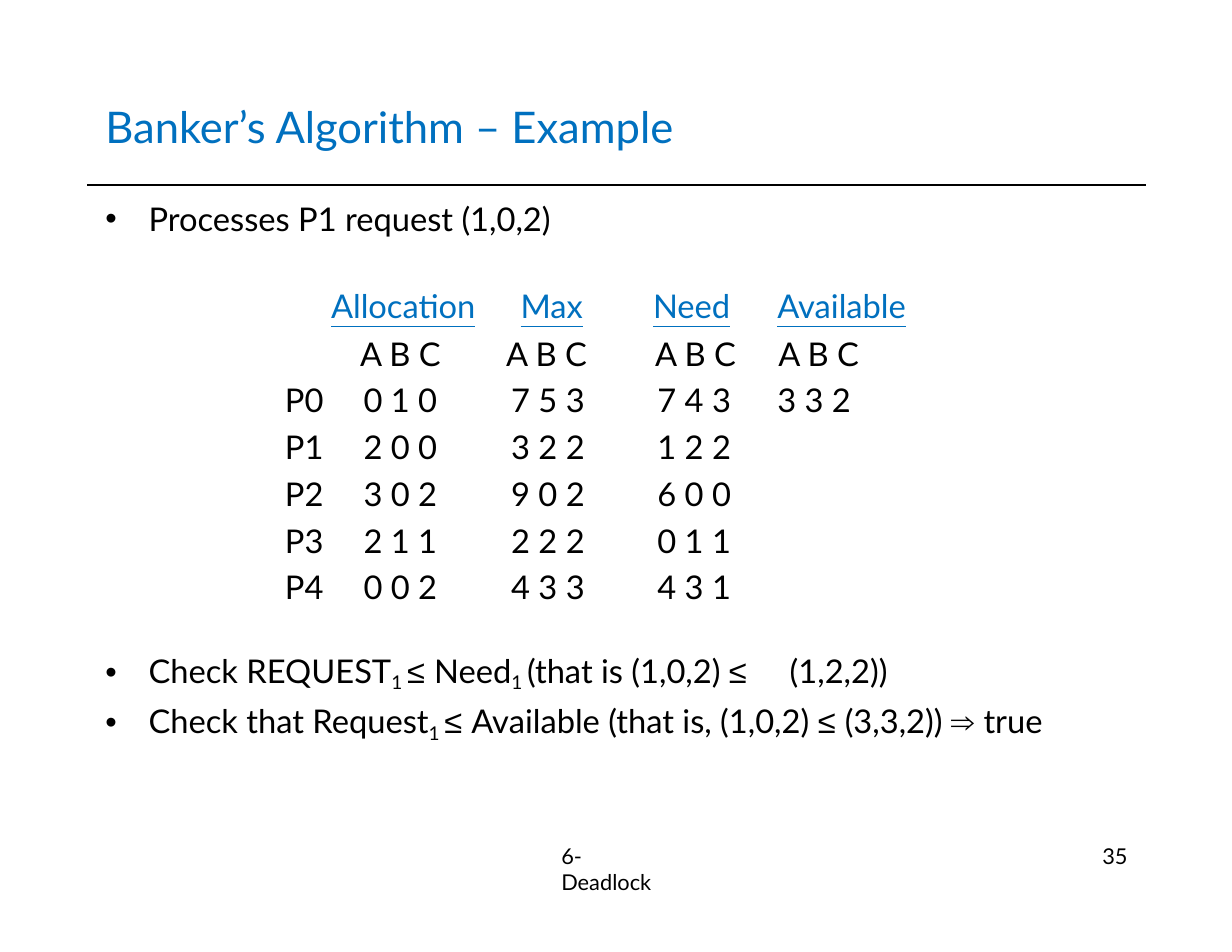
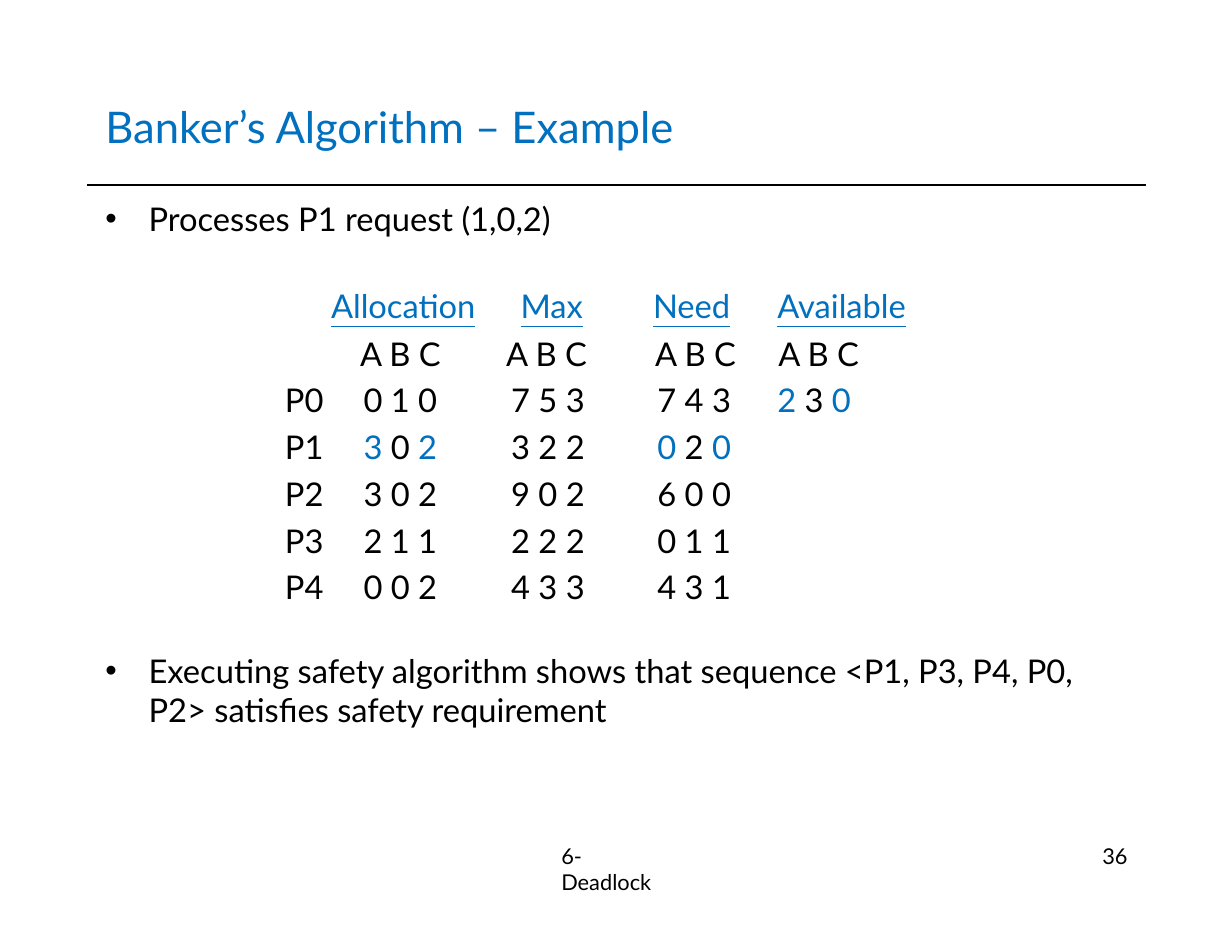
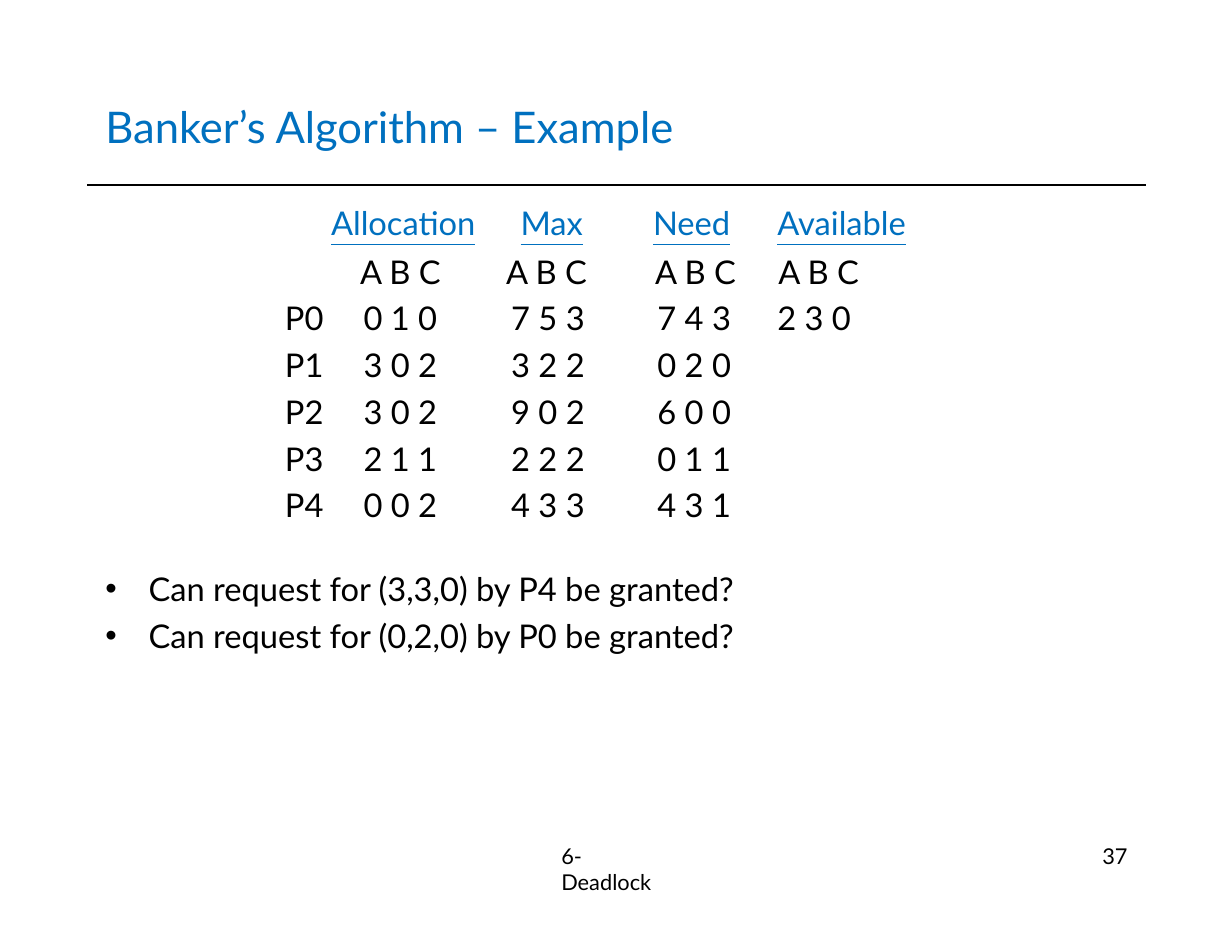
from collections import namedtuple
from itertools import zip_longest

from lxml.etree import SubElement
from pptx import Presentation
from pptx.dml.color import RGBColor
from pptx.enum.shapes import MSO_CONNECTOR
from pptx.enum.text import MSO_ANCHOR, MSO_AUTO_SIZE, MSO_UNDERLINE, PP_ALIGN
from pptx.oxml.ns import qn
from pptx.util import Cm, Pt

Box = namedtuple("Box", "left top width height")
Column = namedtuple("Column", "width align side margins")

COLORS = {"accent": "0070BF", "text": "000000"}
FONTS = {
    "title": {"name": "Lato", "size": Pt(28), "color": "accent"},
    "text": {"name": "Lato", "size": Pt(21), "color": "text"},
    "symbol": {"name": "Arial", "size": Pt(21), "color": "text"},
    "sub": {"name": "Lato", "size": Pt(21), "color": "text", "baseline": "-20000"},
    "accent": {"name": "Lato", "size": Pt(21), "color": "accent"},
    "heading": {"name": "Lato", "size": Pt(21), "color": "accent",
                "bold": False, "underline": MSO_UNDERLINE.SINGLE_LINE},
    "footer": {"name": "Lato", "size": Pt(14), "color": "text"},
}

TITLE = "Banker’s Algorithm – Example"
TITLE_BOX = Box(2.39, 2.24, 13.08, 1.24)
RULE_BOX = Box(1.98, 4.19, 24, 0)
FOOTER_BOX = Box(12.73, 19.08, 2.51, 0.66)
NUMBER_BOX = Box(25, 19.08, 0.76, 0.66)
INTRO_BOX = Box(2.39, 4.47, 10.41, 0.97)
HANGING = 0.98

COLUMNS = [
    Column(1.04, PP_ALIGN.CENTER, "marR", (0, 0, 0)),
    Column(3.68, PP_ALIGN.CENTER, "marR", (0.23, 0.36, 0.36)),
    Column(2.95, PP_ALIGN.RIGHT, "marR", (0.83, 0.74, 0.79)),
    Column(3.1, PP_ALIGN.LEFT, "marL", (0.76, 0.81, 0.86)),
    Column(3.48, PP_ALIGN.LEFT, "marL", (0.48, 0.5, 0.48)),
]
ROW_HEIGHTS = [0.99] + [1.07] * 5 + [0.99]
ROW_INSETS = (0, 0.1, 0.08)
ROW_GAPS = (0, 2.8, 2.5)
HEADINGS = [["", "Allocation", "Max", "Need", "Available"], [""] + ["A B C"] * 4]
INITIAL = [
    ["P0", "0 1 0", "7 5 3", "7 4 3", "3 3 2"],
    ["P1", "2 0 0", "3 2 2", "1 2 2", ""],
    ["P2", "3 0 2", "9 0 2", "6 0 0", ""],
    ["P3", "2 1 1", "2 2 2", "0 1 1", ""],
    ["P4", "0 0 2", "4 3 3", "4 3 1", ""],
]
GRANTED = [["P0", "0 1 0", "7 5 3", "7 4 3", "2 3 0"],
           ["P1", "3 0 2", "3 2 2", "0 2 0", ""]] + INITIAL[2:]

REQUEST = [[("Processes P1 request (1,0,2)", "text")]]
CHECKS = [
    [("Check REQUEST", "text"), ("1 ", "sub"), ("≤ ", "symbol"), ("Need", "text"),
     ("1 ", "sub"), ("(that is (1,0,2) ", "text"), ("≤\t", "symbol"), ("(1,2,2))", "text")],
    [("Check that Request", "text"), ("1 ", "sub"), ("≤ ", "symbol"),
     ("Available (that is, (1,0,2) ", "text"), ("≤ ", "symbol"), ("(3,3,2)) ", "text"),
     ("⇒ ", "symbol"), ("true", "text")],
]
SAFETY = [[("Executing safety algorithm shows that sequence <P1, P3, P4, P0, P2> "
            "satisfies safety requirement", "text")]]
QUESTIONS = [[(f"Can request for {request} be granted?", "text")]
             for request in ("(3,3,0) by P4", "(0,2,0) by P0")]


def lengths(box):
    return [Cm(value) for value in box]


def add_span(para, text, style):
    span = para.add_run()
    span.text = text
    for key, value in FONTS[style].items():
        if key == "color":
            span.font.color.rgb = RGBColor.from_string(COLORS[value])
        elif key == "baseline":
            span.font._element.set(key, value)
        else:
            setattr(span.font, key, value)


def set_frame(shape, box, inset=0.03):
    for key, value in zip(Box._fields, lengths(box)):
        setattr(shape, key, value)
    frame = shape.text_frame
    formats = {"margin_left": 0, "margin_right": 0, "margin_top": Cm(inset),
               "margin_bottom": 0, "word_wrap": True, "vertical_anchor": MSO_ANCHOR.TOP,
               "auto_size": MSO_AUTO_SIZE.SHAPE_TO_FIT_TEXT}
    for key, value in formats.items():
        setattr(frame, key, value)
    return frame


def add_line(shape, box, text, style):
    para = set_frame(shape, box).paragraphs[0]
    para.alignment = PP_ALIGN.LEFT
    para.space_before = Pt(1)
    add_span(para, text, style)


def add_frame_parts(page, number):
    add_line(page.shapes.title, TITLE_BOX, TITLE, "title")
    left, top, width, height = lengths(RULE_BOX)
    rule = page.shapes.add_connector(
        MSO_CONNECTOR.STRAIGHT, left, top, left + width, top + height)
    rule.line.width = Pt(1)
    rule.line.color.rgb = RGBColor.from_string(COLORS["text"])
    SubElement(rule._element.spPr, qn("a:effectLst"))
    for box, text in ((FOOTER_BOX, "6-Deadlock"), (NUMBER_BOX, str(number))):
        add_line(page.shapes.add_textbox(*lengths(box)), box, text, "footer")


def add_list(shape, box, items):
    several = len(items) > 1
    frame = set_frame(shape, box, 0.2 if several else 0.03)
    for index, item in enumerate(items):
        para = frame.add_paragraph() if index else frame.paragraphs[0]
        para.alignment = PP_ALIGN.LEFT
        para.space_before = Pt(6 - index if several else 1)
        layout = para._p.get_or_add_pPr()
        layout.set("marL", str(Cm(HANGING)))
        layout.set("indent", str(-Cm(HANGING)))
        SubElement(layout, qn("a:buFont"), typeface="Arial")
        SubElement(layout, qn("a:buChar"), char="•")
        if any("\t" in text for text, style in item):
            stops = SubElement(layout, qn("a:tabLst"))
            SubElement(stops, qn("a:tab"), pos=str(Cm(15.52)), algn="l")
        for text, style in item:
            add_span(para, text, style)


def fill_cell(cell, column, row, text, old_text):
    kind = min(row, 2)
    formats = {"margin_left": 0, "margin_right": 0, "margin_bottom": 0,
               "margin_top": Cm(ROW_INSETS[kind])}
    for key, value in formats.items():
        setattr(cell, key, value)
    cell.fill.background()
    if not text:
        return
    para = cell.text_frame.paragraphs[0]
    para.alignment = column.align
    para.space_before = Pt(ROW_GAPS[kind])
    if row == len(ROW_HEIGHTS) - 1:
        para.line_spacing = Pt(24.4)
    para._p.get_or_add_pPr().set(column.side, str(Cm(column.margins[kind])))
    if kind == 0:
        add_span(para, text, "heading")
    elif text == old_text:
        add_span(para, text, "text")
    else:
        for index, (new, old) in enumerate(zip_longest(text.split(), old_text.split())):
            add_span(para, f" {new}" if index else new, "text" if new == old else "accent")


def add_state(page, top, state, previous):
    box = Box(6.38, top, sum(column.width for column in COLUMNS), sum(ROW_HEIGHTS))
    table = page.shapes.add_table(len(ROW_HEIGHTS), len(COLUMNS), *lengths(box)).table
    table.first_row = table.horz_banding = False
    for index, column in enumerate(COLUMNS):
        table.columns[index].width = Cm(column.width)
    for row, (texts, old_texts) in enumerate(zip(HEADINGS + state, HEADINGS + previous)):
        table.rows[row].height = Cm(ROW_HEIGHTS[row])
        for index, column in enumerate(COLUMNS):
            fill_cell(table.cell(row, index), column, row, texts[index], old_texts[index])


def add_example(deck, number, lists, table_top, state, previous):
    page = deck.slides.add_slide(deck.slide_layouts[3 if len(lists) == 2 else 1])
    add_frame_parts(page, number)
    for slot, (box, items) in enumerate(lists, 1):
        add_list(page.placeholders[slot], box, items)
    add_state(page, table_top, state, previous)


def main():
    deck = Presentation()
    deck.slide_width, deck.slide_height = Cm(27.94), Cm(21.59)
    intro = (INTRO_BOX, REQUEST)
    add_example(deck, 35, [intro, (Box(2.39, 14.55, 22.65, 2.21), CHECKS)],
                6.48, INITIAL, INITIAL)
    add_example(deck, 36, [intro, (Box(2.39, 14.73, 22.43, 1.85), SAFETY)],
                6.48, GRANTED, INITIAL)
    add_example(deck, 37, [(Box(2.39, 12.7, 14.78, 2.21), QUESTIONS)],
                4.62, GRANTED, GRANTED)
    deck.save("out.pptx")


if __name__ == "__main__":
    main()
